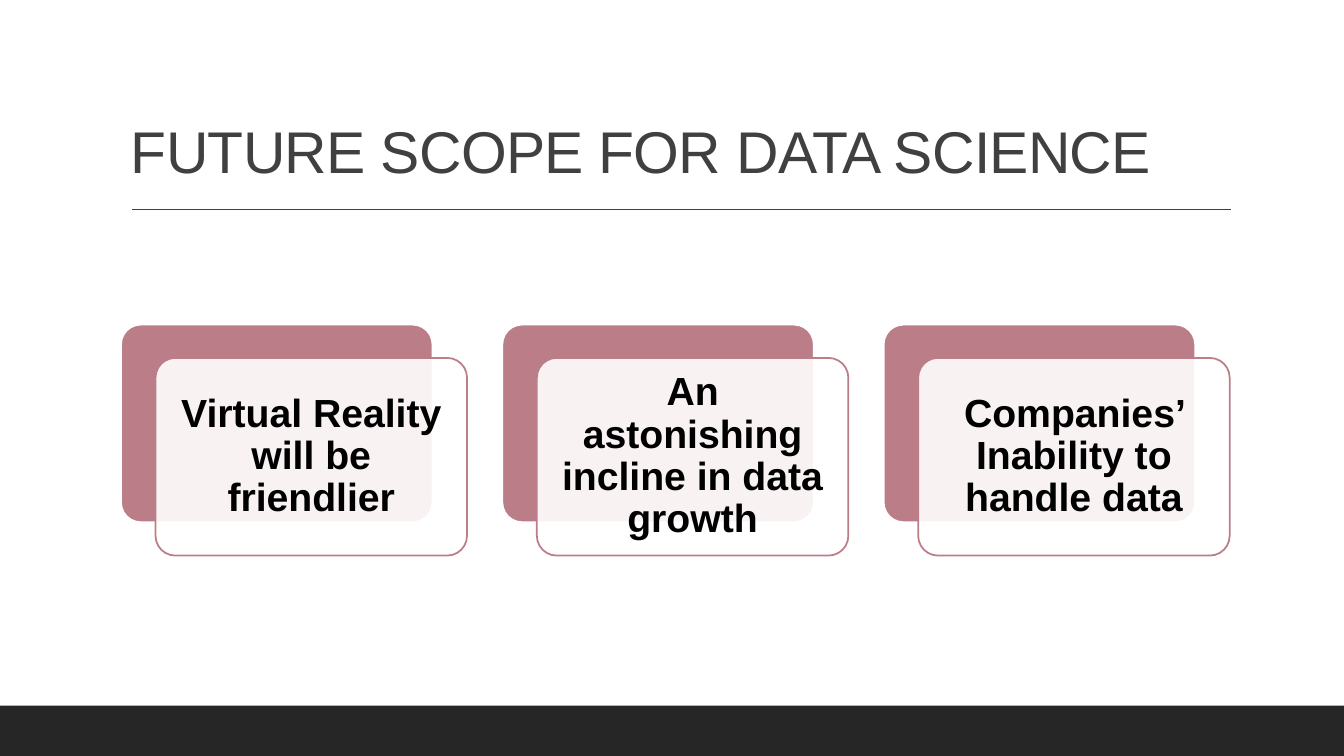
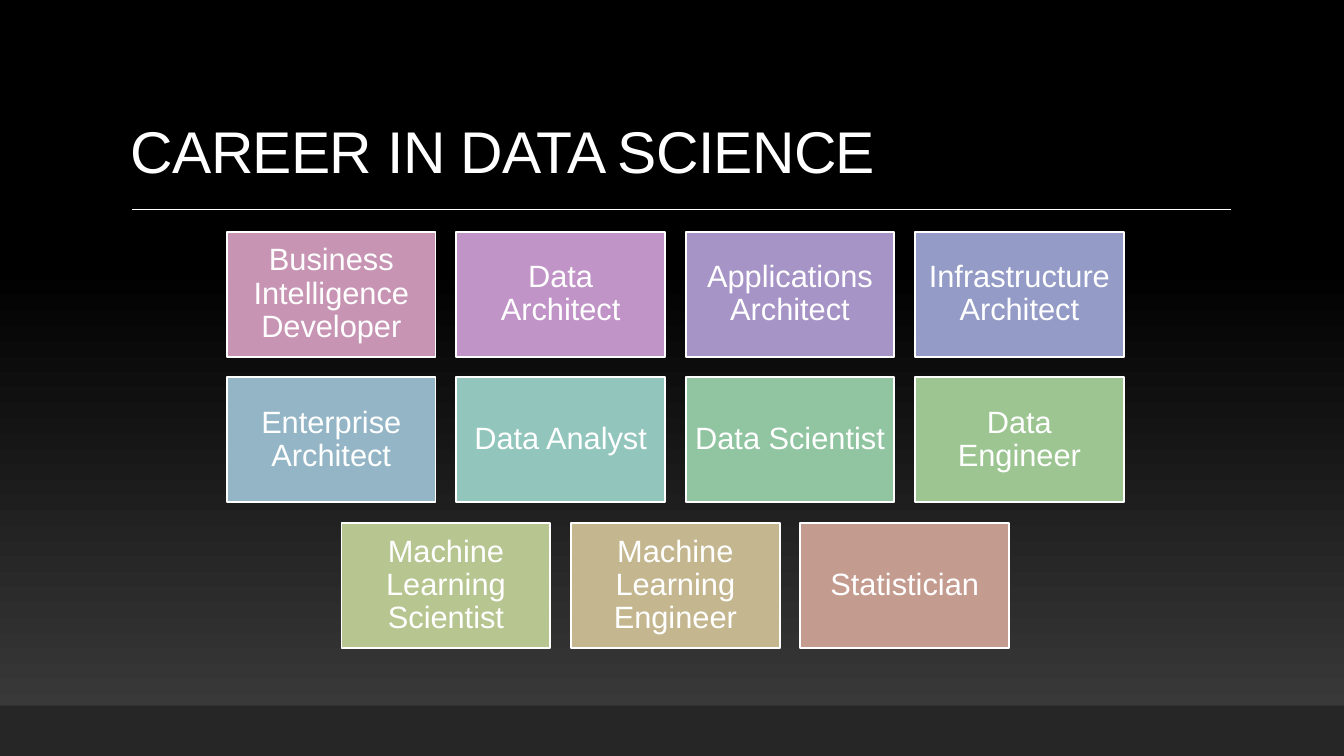
from lxml.etree import SubElement
from pptx import Presentation
from pptx.dml.color import RGBColor
from pptx.enum.shapes import MSO_CONNECTOR, MSO_SHAPE
from pptx.enum.text import MSO_ANCHOR, PP_ALIGN
from pptx.oxml.ns import qn
from pptx.util import Cm, Pt

# Shared look
FONT = "Arial"
WHITE, BLACK = "FFFFFF", "000000"
CHARCOAL, BAND, ROSE = "404040", "262626", "BB7E89"
WIDTH, HEIGHT = 33.87, 19.05
color = RGBColor.from_string


def add_box(slide, geometry, left, top, width, height, fill, line=None):
    shape = slide.shapes.add_shape(geometry, Cm(left), Cm(top), Cm(width), Cm(height))
    shape.shadow.inherit = False
    shape.fill.solid()
    shape.fill.fore_color.rgb = color(fill)
    if line:
        shape.line.color.rgb = color(line)
        shape.line.width = Pt(1.25)
    else:
        shape.line.fill.background()
    return shape


def write(shape, text, size, ink, bold=False, align=PP_ALIGN.CENTER,
          anchor=MSO_ANCHOR.MIDDLE, inset=None, spacing=None):
    frame = shape.text_frame
    frame.word_wrap = True
    frame.vertical_anchor = anchor
    if inset is not None:
        frame.margin_left = frame.margin_right = Cm(inset)
        frame.margin_top = frame.margin_bottom = Cm(inset)
    paragraph = frame.paragraphs[0]
    paragraph.alignment = align
    paragraph.line_spacing = 0.9
    run = paragraph.add_run()
    run.text = text
    run.font.name = FONT
    run.font.size = Pt(size)
    run.font.bold = bold
    run.font.color.rgb = color(ink)
    if spacing is not None:
        run.font._element.set("spc", str(round(spacing * 100)))


presentation = Presentation()
presentation.slide_width = Cm(WIDTH)
presentation.slide_height = Cm(HEIGHT)

# Title, rule and bottom band on both slides
slides = []
for title, ink in [("FUTURE SCOPE FOR DATA SCIENCE", CHARCOAL),
                   ("CAREER IN DATA SCIENCE", WHITE)]:
    slide = presentation.slides.add_slide(presentation.slide_layouts[6])
    title_box = slide.shapes.add_textbox(Cm(3.05), Cm(0.79), Cm(27.94), Cm(4.04))
    write(title_box, title, size=42, ink=ink, align=PP_ALIGN.LEFT,
          anchor=MSO_ANCHOR.BOTTOM, spacing=-0.5)
    rule = slide.shapes.add_connector(
        MSO_CONNECTOR.STRAIGHT, Cm(3.33), Cm(5.28), Cm(31.01), Cm(5.28))
    rule.line.color.rgb = color(ink)
    rule.line.width = Pt(1)
    SubElement(rule._element.spPr, qn("a:effectLst"))
    add_box(slide, MSO_SHAPE.RECTANGLE, 0, 17.78, WIDTH, 1.27, BAND)
    slides.append(slide)
future_slide, career_slide = slides

# Backgrounds
background = future_slide.background.fill
background.solid()
background.fore_color.rgb = color(WHITE)
background = career_slide.background.fill
background.gradient()
background.gradient_angle = 90
for stop, (position, shade) in zip(background.gradient_stops,
                                   [(0, "3F3F3F"), (0.65, BLACK)]):
    stop.position = position
    stop.color.rgb = color(shade)

# Future scope: a translucent card over each rose card
CARD_WIDTH, CARD_HEIGHT, CARD_PITCH = 7.85, 4.98, 9.61
statements = ["Virtual Reality will be friendlier",
              "An astonishing incline in data growth",
              "Companies’ Inability to handle data"]
for index, statement in enumerate(statements):
    left, top = 3.05 + index * CARD_PITCH, 8.18
    back = add_box(future_slide, MSO_SHAPE.ROUNDED_RECTANGLE, left, top,
                   CARD_WIDTH, CARD_HEIGHT, ROSE, WHITE)
    front = add_box(future_slide, MSO_SHAPE.ROUNDED_RECTANGLE, left + 0.87, top + 0.84,
                    CARD_WIDTH, CARD_HEIGHT, WHITE, ROSE)
    for card in (back, front):
        card.adjustments[0] = 0.1
    fill_color = front._element.spPr.find(qn("a:solidFill")).find(qn("a:srgbClr"))
    SubElement(fill_color, qn("a:alpha")).set("val", "90000")
    write(front, statement, size=28, ink=BLACK, bold=True, inset=0.3)

# Careers: rows of tiles, each row centred on the widest
TILE_WIDTH, TILE_HEIGHT, PITCH_X, PITCH_Y = 5.26, 3.15, 5.78, 3.67
COLUMNS = 4
careers = [
    ("Business Intelligence Developer", "C795B3"),
    ("Data Architect", "C194C7"),
    ("Applications Architect", "A694C6"),
    ("Infrastructure Architect", "939BC6"),
    ("Enterprise Architect", "93B5C6"),
    ("Data Analyst", "92C5BC"),
    ("Data Scientist", "91C5A1"),
    ("Data Engineer", "9CC591"),
    ("Machine Learning Scientist", "B7C590"),
    ("Machine Learning Engineer", "C4B790"),
    ("Statistician", "C49B8F"),
]
for index, (career, fill) in enumerate(careers):
    row, column = divmod(index, COLUMNS)
    tiles_in_row = min(COLUMNS, len(careers) - row * COLUMNS)
    left = 5.72 + (column + (COLUMNS - tiles_in_row) / 2) * PITCH_X
    tile = add_box(career_slide, MSO_SHAPE.RECTANGLE, left, 5.84 + row * PITCH_Y,
                   TILE_WIDTH, TILE_HEIGHT, fill, WHITE)
    write(tile, career, size=22, ink=WHITE, inset=0.23)

presentation.save("out.pptx")
